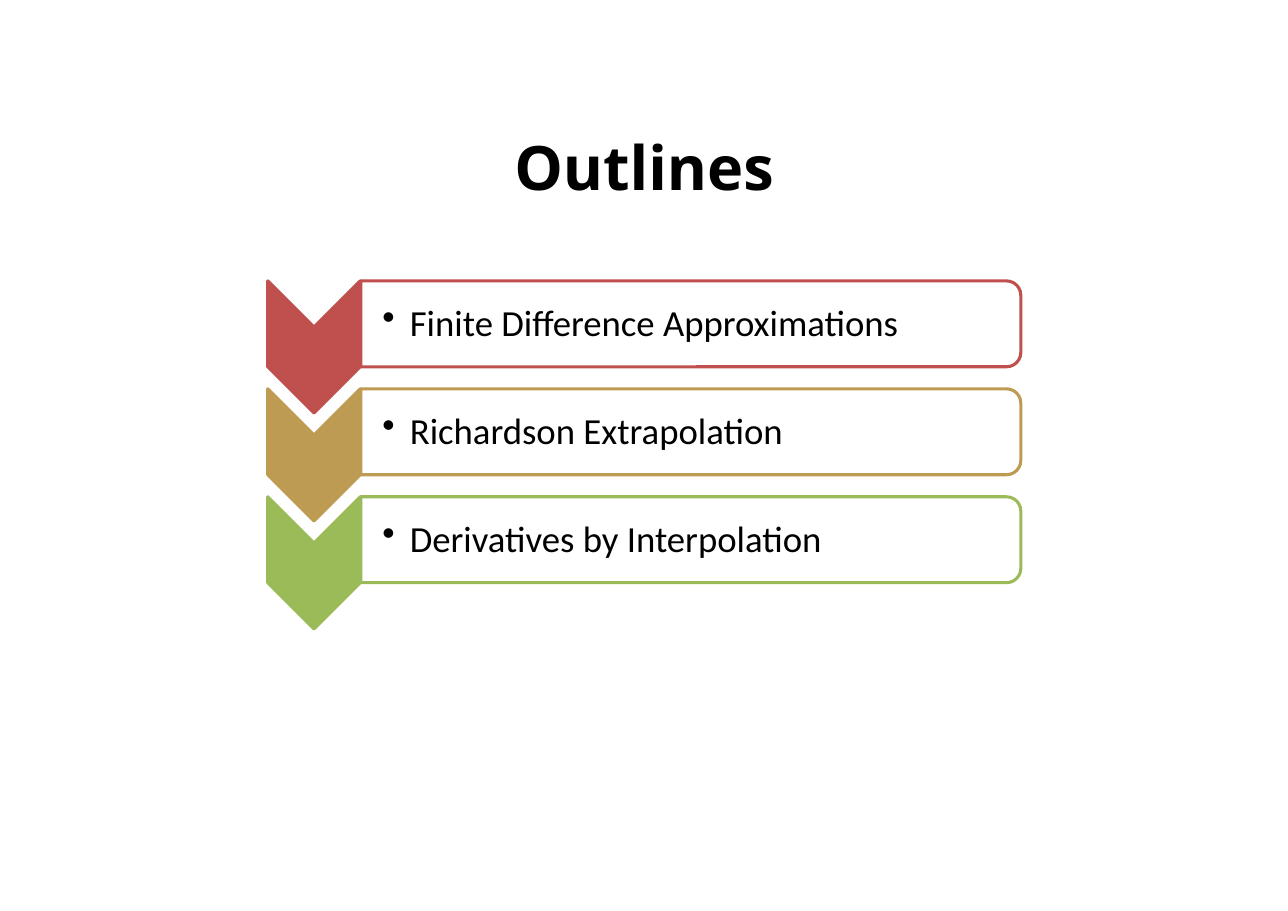
import pptx
import pptx.util
import pptx.dml.color
import pptx.enum.shapes
import pptx.enum.text
import pptx.oxml.ns
import lxml.etree

Inches = pptx.util.Inches
Pt = pptx.util.Pt
RGBColor = pptx.dml.color.RGBColor
MSO_SHAPE = pptx.enum.shapes.MSO_SHAPE
MIDDLE = pptx.enum.text.MSO_ANCHOR.MIDDLE
qn = pptx.oxml.ns.qn

BLACK = RGBColor(0x00, 0x00, 0x00)
WHITE = RGBColor(0xFF, 0xFF, 0xFF)
RED = RGBColor(0xC0, 0x50, 0x4D)
GOLD = RGBColor(0xBD, 0x9B, 0x53)
GREEN = RGBColor(0x9B, 0xBB, 0x59)

TOPICS = [
    ("Finite Difference Approximations", RED),
    ("Richardson Extrapolation", GOLD),
    ("Derivatives by Interpolation", GREEN),
]
FIRST_TOP = 2.55
ROW_PITCH = 0.98
CHEVRON_LENGTH, CHEVRON_WIDTH = 1.2, 0.84
BAR_LENGTH, BAR_HEIGHT = 5.99, 0.78


def add_turned_shape(preset, center_x, center_y, width, height, fill, outline):
    turned = slide.shapes.add_shape(
        preset, Inches(center_x - width / 2), Inches(center_y - height / 2),
        Inches(width), Inches(height))
    turned.rotation = 90
    turned.shadow.inherit = False
    turned.fill.solid()
    turned.fill.fore_color.rgb = fill
    turned.line.color.rgb = outline
    turned.line.width = Pt(2)
    return turned


presentation = pptx.Presentation()
presentation.slide_width = Inches(11.69)
presentation.slide_height = Inches(8.27)
slide = presentation.slides.add_slide(presentation.slide_layouts[5])

title = slide.shapes.title
title.left, title.top = Inches(1.42), Inches(0.82)
title.width, title.height = Inches(8.85), Inches(1.38)
title.text_frame.text = "Outlines"
title.text_frame.vertical_anchor = MIDDLE
heading = title.text_frame.paragraphs[0]
heading.alignment = pptx.enum.text.PP_ALIGN.CENTER
heading.font.name = "Open Sans"
heading.font.size = Pt(40)
heading.font.bold = True
heading.font.color.rgb = BLACK

for row, (topic, color) in enumerate(TOPICS):
    top = FIRST_TOP + row * ROW_PITCH
    add_turned_shape(MSO_SHAPE.CHEVRON, 2.85, top + CHEVRON_LENGTH / 2,
                     CHEVRON_LENGTH, CHEVRON_WIDTH, color, color)
    bar = add_turned_shape(MSO_SHAPE.ROUND_2_SAME_RECTANGLE, 6.27, top + BAR_HEIGHT / 2,
                           BAR_HEIGHT, BAR_LENGTH, WHITE, color)
    bar_color = bar.fill._xPr.find(qn("a:solidFill"))[0]
    lxml.etree.SubElement(bar_color, qn("a:alpha"), val="90000")

    label = slide.shapes.add_textbox(
        Inches(3.28), Inches(top + 0.04), Inches(5.95), Inches(0.71))
    frame = label.text_frame
    frame.word_wrap = True
    frame.vertical_anchor = MIDDLE
    frame.margin_left = Inches(0.19)
    frame.margin_right = frame.margin_top = frame.margin_bottom = Inches(0.02)
    frame.text = topic
    entry = frame.paragraphs[0]
    entry.line_spacing = 0.9
    properties = entry._p.get_or_add_pPr()
    properties.set("marL", str(Inches(0.25)))
    properties.set("indent", str(-Inches(0.25)))
    lxml.etree.SubElement(properties, qn("a:buChar"), char="•")
    entry.font.name = "Calibri"
    entry.font.size = Pt(24)
    entry.font.color.rgb = BLACK

presentation.save("out.pptx")
